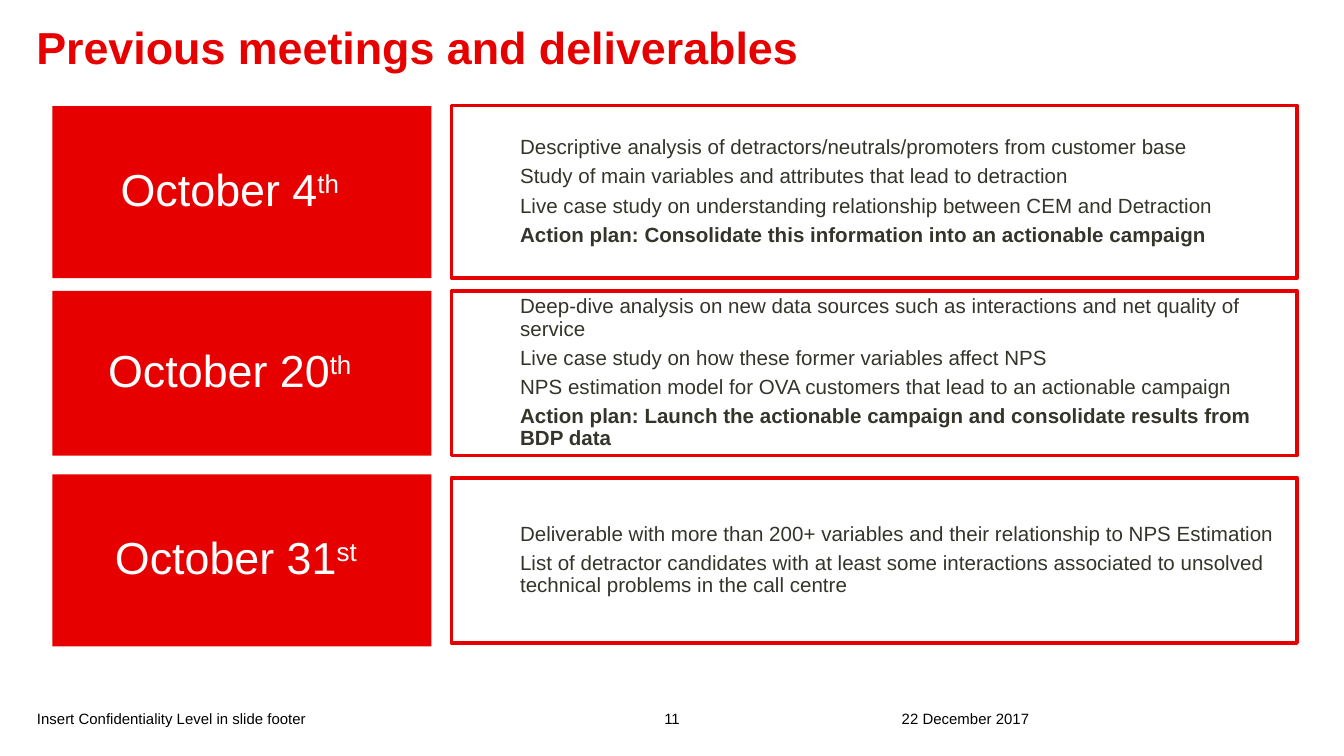
"""Build the slide of previous meetings and their deliverables."""
from dataclasses import dataclass

from pptx import Presentation
from pptx.dml.color import RGBColor
from pptx.enum.shapes import MSO_SHAPE as Shape
from pptx.enum.text import MSO_ANCHOR as Anchor, PP_ALIGN as Align
from pptx.util import Inches, Pt


@dataclass(frozen=True)
class Theme:
    """Colours, type sizes and spacing of the slide."""
    font: str = "Arial"
    red: str = "E60000"
    white: str = "FFFFFF"
    ink: str = "34342B"
    black: str = "000000"
    heading: int = 24
    body: int = 11
    footer: int = 8
    outline: int = 2
    line_height: float = 0.9
    gap_share: float = 0.35


class MeetingSlide:
    """Draw styled elements on a grid of 100 columns, each a tenth of an inch."""

    UNIT = Inches(0.1)

    def __init__(self, presentation, theme):
        """Add a blank slide and keep its style."""
        self.theme = theme
        self.slide = presentation.slides.add_slide(presentation.slide_layouts[6])

    def cells(self, *lengths):
        """Turn columns and rows into lengths."""
        return [round(length * self.UNIT) for length in lengths]

    def frame(self, shape, anchor, margin=0.0, right=0.0):
        """Set the wrapping, anchor and margins of a text frame."""
        frame = shape.text_frame
        inset = Inches(margin)
        values = {"word_wrap": True, "vertical_anchor": anchor,
                  "margin_left": inset, "margin_top": inset,
                  "margin_bottom": inset, "margin_right": Inches(margin + right)}
        for name, value in values.items():
            setattr(frame, name, value)
        return frame

    def run(self, paragraph, text, size, color, bold=False):
        """Add a run of styled text."""
        run = paragraph.add_run()
        run.text = text
        values = {"name": self.theme.font, "size": Pt(size), "bold": bold}
        for name, value in values.items():
            setattr(run.font, name, value)
        run.font.color.rgb = RGBColor.from_string(color)
        return run

    def space(self, paragraph, align, size):
        """Set the alignment and spacing of a paragraph inside a panel."""
        values = {"alignment": align, "line_spacing": self.theme.line_height,
                  "space_before": Pt(0),
                  "space_after": Pt(round(size * self.theme.gap_share, 1))}
        for name, value in values.items():
            setattr(paragraph, name, value)

    def label(self, area, text, size, color, anchor=Anchor.BOTTOM,
              align=Align.LEFT, bold=False, line_height=1.0):
        """Add a single line of plain text."""
        box = self.slide.shapes.add_textbox(*self.cells(*area))
        paragraph = self.frame(box, anchor).paragraphs[0]
        paragraph.alignment = align
        paragraph.line_spacing = line_height
        self.run(paragraph, text, size, color, bold)

    def panel(self, area, filled):
        """Add a rectangle, either solid or outlined."""
        shape = self.slide.shapes.add_shape(Shape.RECTANGLE, *self.cells(*area))
        shape.shadow.inherit = False
        red = RGBColor.from_string(self.theme.red)
        if filled:
            shape.fill.solid()
            shape.fill.fore_color.rgb = red
            shape.line.fill.background()
        else:
            shape.fill.background()
            shape.line.color.rgb = red
            shape.line.width = Pt(self.theme.outline)
        return shape

    def date(self, area, day, suffix, right):
        """Add a solid panel with a date and its raised suffix."""
        theme = self.theme
        frame = self.frame(self.panel(area, True), Anchor.MIDDLE, 0.01, right)
        paragraph = frame.paragraphs[0]
        self.space(paragraph, Align.CENTER, theme.heading)
        self.run(paragraph, day, theme.heading, theme.white)
        raised = self.run(paragraph, suffix, theme.heading, theme.white)
        raised._r.get_or_add_rPr().set("baseline", "30000")

    def deliverables(self, area, items, action):
        """Add an outlined panel with indented items and a bold action plan."""
        theme = self.theme
        frame = self.frame(self.panel(area, False), Anchor.MIDDLE, 0.01)
        lines = items + ([action] if action else [])
        for index, text in enumerate(lines):
            paragraph = frame.add_paragraph() if index else frame.paragraphs[0]
            paragraph.level = 1
            properties = paragraph._p.get_or_add_pPr()
            properties.set("marL", str(Inches(0.5)))
            properties.set("indent", "0")
            self.space(paragraph, Align.LEFT, theme.body)
            self.run(paragraph, text, theme.body, theme.ink, text == action)


DATE_COLUMN = (3.9, 28.2)
DELIVERABLE_COLUMN = (33.6, 62.9)
MEETINGS = [
    {"date": ("October 4", "th", 0.18), "date_rows": (7.9, 12.8), "rows": (7.85, 12.85),
     "items": ["Descriptive analysis of detractors/neutrals/promoters from customer base",
               "Study of main variables and attributes that lead to detraction",
               "Live case study on understanding relationship between CEM and Detraction"],
     "action": "Action plan: Consolidate this information into an actionable campaign"},
    {"date": ("October 20", "th", 0.18), "date_rows": (21.65, 12.25), "rows": (21.65, 12.25),
     "items": ["Deep-dive analysis on new data sources such as interactions and net "
               "quality of service",
               "Live case study on how these former variables affect NPS",
               "NPS estimation model for OVA customers that lead to an actionable campaign"],
     "action": "Action plan: Launch the actionable campaign and consolidate results "
               "from BDP data"},
    {"date": ("October 31", "st", 0.09), "date_rows": (35.3, 12.8), "rows": (35.55, 12.3),
     "items": ["Deliverable with more than 200+ variables and their relationship to "
               "NPS Estimation",
               "List of detractor candidates with at least some interactions associated "
               "to unsolved technical problems in the call centre"],
     "action": None},
]
FOOTERS = [
    (2.75, 22.8, "Insert Confidentiality Level in slide footer", Align.LEFT),
    (47.75, 4.5, "11", Align.CENTER),
    (67.1, 23.3, "22 December 2017", Align.LEFT),
]


def area(column, rows):
    """Combine a column and a row span into left, top, width and height."""
    return column[0], rows[0], column[1], rows[1]


def main():
    """Build and save the presentation."""
    presentation = Presentation()
    presentation.slide_width = Inches(10)
    presentation.slide_height = presentation.slide_width * 9 // 16
    theme = Theme()
    page = MeetingSlide(presentation, theme)
    page.label((2.7, 2.25, 71.5, 7.3), "Previous meetings and deliverables",
               theme.heading, theme.red, Anchor.TOP, bold=True, line_height=0.8)
    for meeting in MEETINGS:
        page.date(area(DATE_COLUMN, meeting["date_rows"]), *meeting["date"])
        page.deliverables(area(DELIVERABLE_COLUMN, meeting["rows"]),
                          meeting["items"], meeting["action"])
    for left, width, text, align in FOOTERS:
        page.label((left, 51.55, width, 2.6), text, theme.footer, theme.black, align=align)
    presentation.save("out.pptx")


if __name__ == "__main__":
    main()
